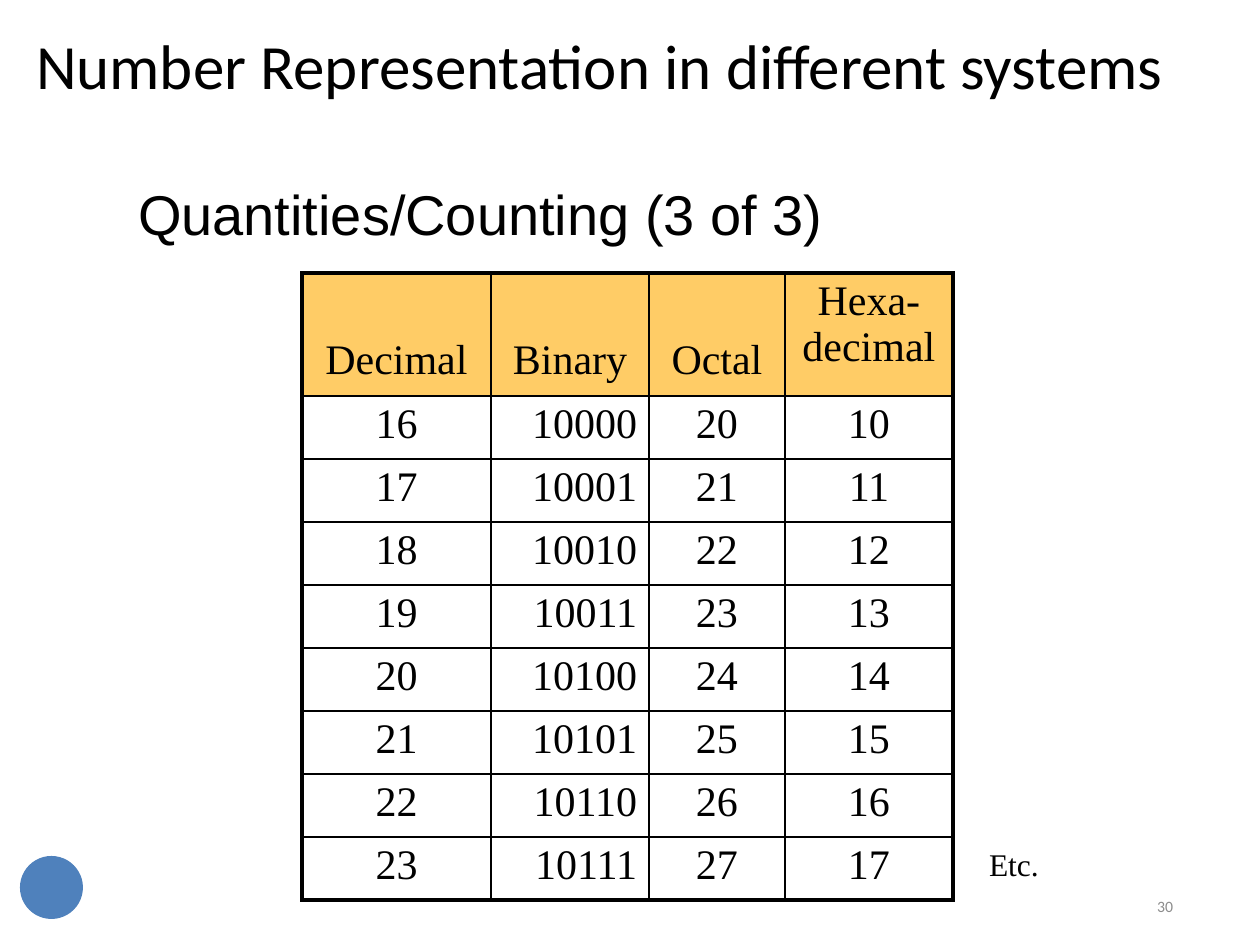
from dataclasses import dataclass

from lxml.etree import SubElement
from pptx import Presentation
from pptx.dml.color import RGBColor
from pptx.enum.shapes import MSO_SHAPE
from pptx.enum.text import MSO_ANCHOR, PP_ALIGN
from pptx.oxml.ns import qn
from pptx.util import Emu, Pt


@dataclass(frozen=True)
class Theme:
    black: str = "000000"
    gray: str = "8C8C8C"
    header: str = "FFCC66"
    blue: str = "4F81BC"
    title_font: str = "Calibri"
    subtitle_font: str = "Arial"
    table_font: str = "Times New Roman"
    title_size: int = 36
    subtitle_size: int = 32
    table_size: int = 24
    note_size: int = 18
    number_size: int = 9
    outer_line: float = 2.25
    inner_line: float = 1


THEME = Theme()

TITLE = "Number Representation in different systems"
SUBTITLE = "Quantities/Counting (3 of 3)"
NOTE = "Etc."
SLIDE_NUMBER = "30"
HEADERS = ["Decimal", "Binary", "Octal", "Hexa-\vdecimal"]
ROWS = [
    ("16", "10000", "20", "10"),
    ("17", "10001", "21", "11"),
    ("18", "10010", "22", "12"),
    ("19", "10011", "23", "13"),
    ("20", "10100", "24", "14"),
    ("21", "10101", "25", "15"),
    ("22", "10110", "26", "16"),
    ("23", "10111", "27", "17"),
]

# Lengths in px, 126 to the inch
TABLE_LEFT, TABLE_TOP = 302, 273
COLUMN_WIDTHS = [189, 158, 136, 168]
HEADER_HEIGHT, ROW_HEIGHT = 123, 63
CELL_TOP, HEADER_CELL_TOP = 5, 64
BINARY_COLUMN, BINARY_RIGHT = 1, 12


def px(length):
    return Emu(round(length * 914400 / 126))


def color(value):
    return RGBColor.from_string(value)


def write(frame, text, *, font, size, fill=THEME.black, align=PP_ALIGN.LEFT,
          line_spacing=None):
    paragraph = frame.paragraphs[0]
    paragraph.text = text
    paragraph.alignment = align
    if line_spacing:
        paragraph.line_spacing = Pt(line_spacing)
    paragraph.font.name = font
    paragraph.font.size = Pt(size)
    paragraph.font.color.rgb = color(fill)


def place(shape, left, top, width, height):
    shape.left, shape.top = px(left), px(top)
    shape.width, shape.height = px(width), px(height)


def set_margins(target, left=0, top=0, right=0, bottom=0):
    """Set the insets of a text frame or a table cell."""
    target.margin_left, target.margin_top = px(left), px(top)
    target.margin_right, target.margin_bottom = px(right), px(bottom)


def add_label(slide, text, box, anchor=MSO_ANCHOR.TOP, top_margin=0, **text_format):
    shape = slide.shapes.add_textbox(*map(px, box))
    frame = shape.text_frame
    frame.word_wrap = True
    frame.vertical_anchor = anchor
    set_margins(frame, top=top_margin)
    write(frame, text, **text_format)


def set_borders(cell, outer_sides):
    properties = cell._tc.get_or_add_tcPr()
    for side in "LRTB":
        width = THEME.outer_line if side in outer_sides else THEME.inner_line
        line = SubElement(properties, qn(f"a:ln{side}"), w=str(Pt(width)))
        fill = SubElement(line, qn("a:solidFill"))
        SubElement(fill, qn("a:srgbClr"), val=THEME.black)


def add_number_table(slide):
    heights = [HEADER_HEIGHT] + [ROW_HEIGHT] * len(ROWS)
    last_row, last_column = len(ROWS), len(HEADERS) - 1
    table = slide.shapes.add_table(
        len(heights), len(HEADERS), px(TABLE_LEFT), px(TABLE_TOP),
        px(sum(COLUMN_WIDTHS)), px(sum(heights))).table
    table.first_row = table.horz_banding = False
    for column, width in zip(table.columns, COLUMN_WIDTHS):
        column.width = px(width)
    for row, height in zip(table.rows, heights):
        row.height = px(height)

    for r, values in enumerate([HEADERS, *ROWS]):
        for c, value in enumerate(values):
            cell = table.cell(r, c)
            is_header = r == 0
            is_right = c == BINARY_COLUMN and not is_header
            one_line_header = is_header and "\v" not in value
            set_margins(cell, top=HEADER_CELL_TOP if one_line_header else CELL_TOP,
                        right=BINARY_RIGHT if is_right else 0)
            edges = {"L": c == 0, "R": c == last_column,
                     "T": is_header, "B": r == last_row}
            set_borders(cell, [side for side, outer in edges.items() if outer])
            if is_header:
                cell.fill.solid()
                cell.fill.fore_color.rgb = color(THEME.header)
            else:
                cell.fill.background()
            write(cell.text_frame, value, font=THEME.table_font,
                  size=THEME.table_size,
                  align=PP_ALIGN.RIGHT if is_right else PP_ALIGN.CENTER)


def main():
    presentation = Presentation()
    presentation.slide_width, presentation.slide_height = px(1260), px(945)
    slide = presentation.slides.add_slide(presentation.slide_layouts[5])

    title = slide.shapes.title
    place(title, 36, 24, 1190, 79)
    title.text_frame.vertical_anchor = MSO_ANCHOR.MIDDLE
    set_margins(title.text_frame, top=1)
    write(title.text_frame, TITLE, font=THEME.title_font, size=THEME.title_size)

    add_label(slide, SUBTITLE, (138, 179, 700, 71), top_margin=1,
              font=THEME.subtitle_font, size=THEME.subtitle_size)
    add_number_table(slide)

    circle = slide.shapes.add_shape(MSO_SHAPE.OVAL, px(20), px(856), px(63), px(63))
    circle.shadow.inherit = False
    circle.fill.solid()
    circle.fill.fore_color.rgb = color(THEME.blue)
    circle.line.fill.background()

    add_label(slide, NOTE, (989, 847, 54, 39), font=THEME.table_font,
              size=THEME.note_size, line_spacing=20.6)
    add_label(slide, SLIDE_NUMBER, (890, 876, 283, 50), anchor=MSO_ANCHOR.MIDDLE,
              font=THEME.title_font, size=THEME.number_size, fill=THEME.gray,
              align=PP_ALIGN.RIGHT, line_spacing=16.5)

    presentation.save("out.pptx")


if __name__ == "__main__":
    main()
